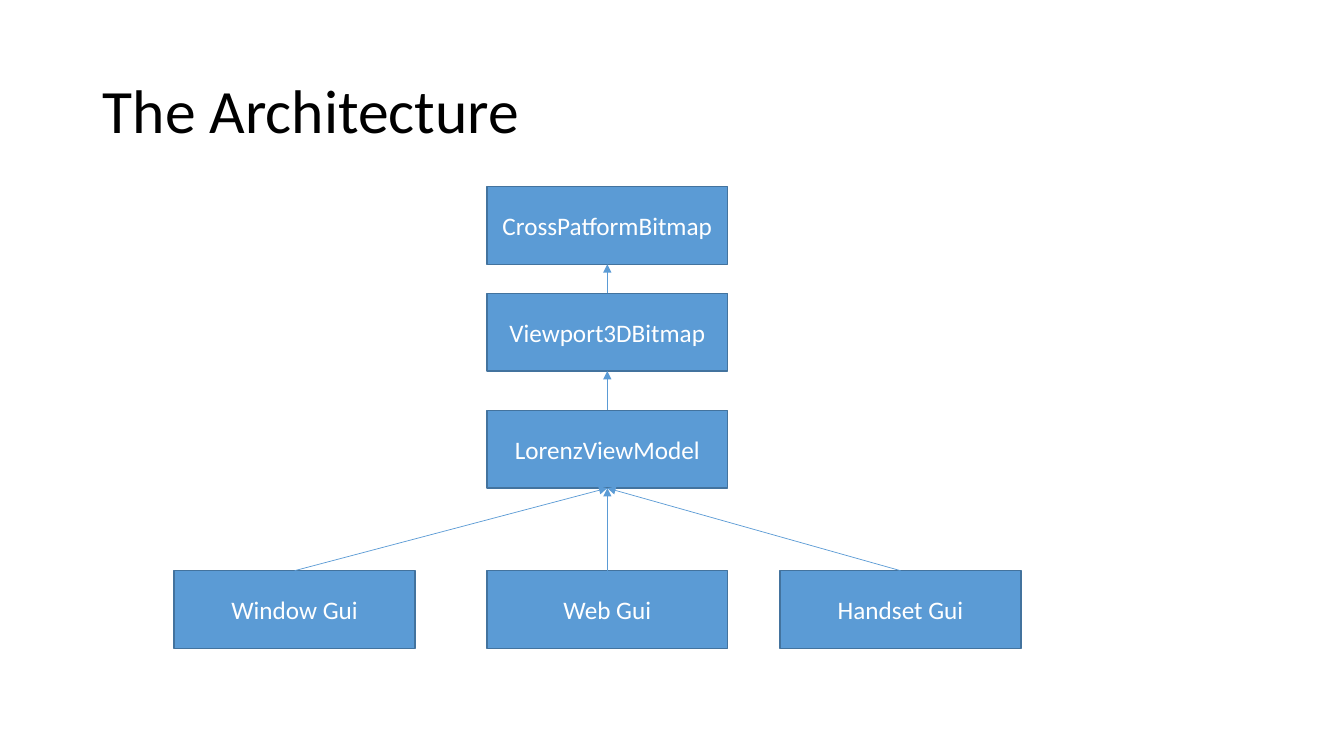
from lxml import etree
from pptx import Presentation
from pptx import util as u
from pptx.dml.color import RGBColor
from pptx.enum import shapes, text
from pptx.oxml import ns

COLOURS = {"title": "000000", "box": "5B9BD5", "outline": "43739E",
           "label": "FFFFFF", "arrow": "5B9BD5"}
BOX_WIDTH, BOX_HEIGHT = u.Cm(6.07), u.Cm(1.96)
TOP_SITE, BOTTOM_SITE = 0, 2


def write(shape, words, size, colour, align, spacing=1.0):
    frame = shape.text_frame
    frame.word_wrap = True
    frame.vertical_anchor = text.MSO_ANCHOR.MIDDLE
    para = frame.paragraphs[0]
    para.alignment = align
    para.line_spacing = spacing
    span = para.add_run()
    span.text = words
    span.font.name = "Calibri"
    span.font.size = u.Pt(size)
    span.font.color.rgb = RGBColor.from_string(COLOURS[colour])


deck = Presentation()
deck.slide_width, deck.slide_height = u.Cm(33.87), u.Cm(19.05)
page = deck.slides.add_slide(deck.slide_layouts[5])

title = page.shapes.title
title.left, title.top = u.Cm(2.34), u.Cm(1.02)
title.width, title.height = u.Cm(29.21), u.Cm(3.68)
write(title, "The Architecture", 44, "title", text.PP_ALIGN.LEFT, spacing=0.9)

# Each component: name, left, top, and the component its arrow points to
components = [
    ("CrossPatformBitmap", 12.27, 4.70, None),
    ("Viewport3DBitmap", 12.27, 7.39, "CrossPatformBitmap"),
    ("LorenzViewModel", 12.27, 10.34, "Viewport3DBitmap"),
    ("Window Gui", 4.39, 14.38, "LorenzViewModel"),
    ("Web Gui", 12.27, 14.38, "LorenzViewModel"),
    ("Handset Gui", 19.66, 14.38, "LorenzViewModel"),
]

boxes = {}
for name, left, top, target in components:
    box = page.shapes.add_shape(shapes.MSO_SHAPE.RECTANGLE,
                                u.Cm(left), u.Cm(top), BOX_WIDTH, BOX_HEIGHT)
    box.shadow.inherit = False
    box.fill.solid()
    box.fill.fore_color.rgb = RGBColor.from_string(COLOURS["box"])
    box.line.color.rgb = RGBColor.from_string(COLOURS["outline"])
    box.line.width = u.Pt(1)
    write(box, name, 18, "label", text.PP_ALIGN.CENTER)
    boxes[name] = box

for name, left, top, target in components:
    if target is None:
        continue
    arrow = page.shapes.add_connector(shapes.MSO_CONNECTOR.STRAIGHT, 0, 0, 0, 0)
    arrow.begin_connect(boxes[name], TOP_SITE)
    arrow.end_connect(boxes[target], BOTTOM_SITE)
    arrow.line.color.rgb = RGBColor.from_string(COLOURS["arrow"])
    arrow.line.width = u.Pt(0.5)
    etree.SubElement(arrow.line._get_or_add_ln(), ns.qn("a:tailEnd"), type="triangle")
    etree.SubElement(arrow._element.spPr, ns.qn("a:effectLst"))

deck.save("out.pptx")
